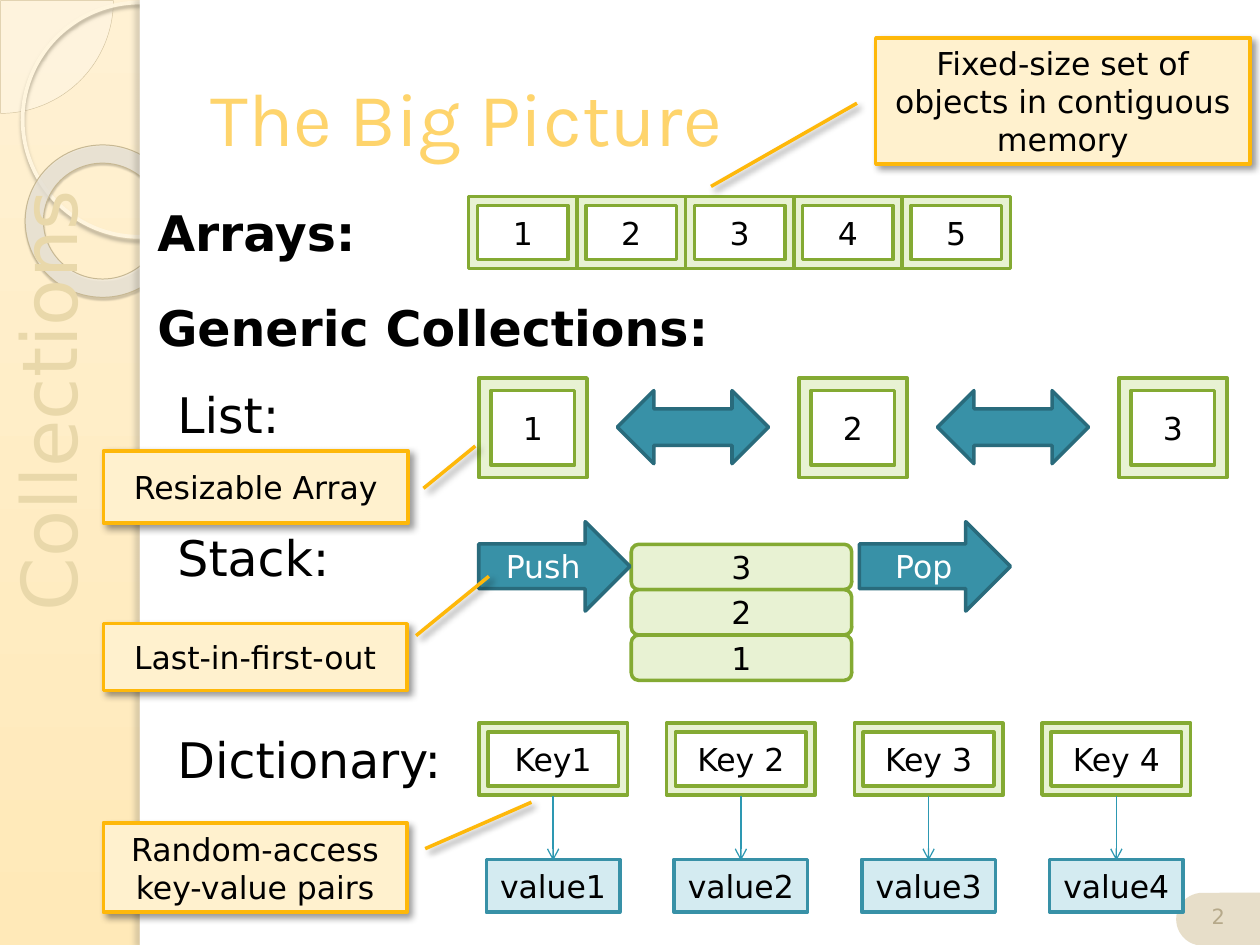
import pptx
import pptx.util
import pptx.dml.color
import pptx.enum.shapes
import pptx.enum.text
import pptx.oxml
import pptx.oxml.ns

SHAPE = pptx.enum.shapes.MSO_SHAPE
ALIGN = pptx.enum.text.PP_ALIGN
ANCHOR = pptx.enum.text.MSO_ANCHOR
NS = pptx.oxml.ns.nsdecls("a")
BODY = "DejaVu Sans"

GREEN = ("E8F2D3", "84AA33")
TEAL = ("3891A7", "296B7C")
PALE = ("D4EBF1", "3891A7")
GOLD = ("FFF1CE", "FEB80A")

headings = [("Arrays:", 1.15, 1.56, 3.17, True),
            ("Generic Collections:", 1.15, 2.31, 6.88, True),
            ("List:", 1.31, 3, 1.46, False),
            ("Stack:", 1.31, 4.14, 1.92, False),
            ("Dictionary:", 1.31, 5.74, 3, False)]
array_items = ["1", "2", "3", "4", "5"]
list_items = ["1", "2", "3"]
stack_items = ["3", "2", "1"]
stack_moves = [("Push", 3.8), ("Pop", 6.82)]
dictionary = [("Key1", "value1"), ("Key 2", "value2"), ("Key 3", "value3"), ("Key 4", "value4")]
callouts = [
    ("Fixed-size set of objects in contiguous memory", (6.95, 0.3, 2.97, 1), (0.52, -0.05, 1.18, -0.44)),
    ("Resizable Array", (0.82, 3.58, 2.42, 0.57), (0.52, 1.05, -0.07, 1.22)),
    ("Last-in-first-out", (0.82, 4.95, 2.41, 0.53), (0.18, 1.03, -0.71, 1.27)),
    ("Random-access key-value pairs", (0.82, 6.53, 2.41, 0.71), (0.29, 1.06, -0.23, 1.41))]

deck = pptx.Presentation()
deck.slide_width, deck.slide_height = pptx.util.Inches(10), pptx.util.Inches(7.5)
slide = deck.slides.add_slide(deck.slide_layouts[5])


def rgb(value):
    return pptx.dml.color.RGBColor.from_string(value)


def inches(*lengths):
    return [pptx.util.Inches(length) for length in lengths]


def write(frame, text, size, color, align=ALIGN.LEFT, anchor=ANCHOR.TOP, font=BODY, bold=False):
    frame.word_wrap = True
    frame.vertical_anchor = anchor
    paragraph = frame.paragraphs[0]
    paragraph.alignment = align
    run = paragraph.add_run()
    run.text = text
    run.font.size = pptx.util.Pt(size)
    run.font.name = font
    run.font.bold = bold
    run.font.color.rgb = rgb(color)
    return paragraph


def add_shape(kind, box, colors, text="", text_color="000000", width=2, alpha=100, adjust=()):
    shape = slide.shapes.add_shape(kind, *inches(*box))
    shape.shadow.inherit = False
    fill, line = colors
    if fill:
        shape.fill.solid()
        shape.fill.fore_color.rgb = rgb(fill)
        if alpha < 100:
            shape.fill._xPr.find(".//" + pptx.oxml.ns.qn("a:srgbClr")).append(
                pptx.oxml.parse_xml(f'<a:alpha {NS} val="{alpha * 1000}"/>'))
    else:
        shape.fill.background()
    if line:
        shape.line.color.rgb = rgb(line)
        shape.line.width = pptx.util.Pt(width)
    else:
        shape.line.fill.background()
    for index, value in enumerate(adjust):
        shape.adjustments[index] = value
    if text:
        write(shape.text_frame, text, 18, text_color, ALIGN.CENTER, ANCHOR.MIDDLE)
    return shape


def add_shadow(shape, color, alpha, blur, distance, angle):
    effects = shape._element.spPr.find(pptx.oxml.ns.qn("a:effectLst"))
    effects.append(pptx.oxml.parse_xml(
        f'<a:outerShdw {NS} blurRad="{int(blur * 12700)}" dist="{int(distance * 12700)}" '
        f'dir="{angle * 60000}" algn="tl" rotWithShape="0"><a:srgbClr val="{color}">'
        f'<a:alpha val="{alpha * 1000}"/></a:srgbClr></a:outerShdw>'))


def add_text(box, *args, **kwargs):
    label = slide.shapes.add_textbox(*inches(*box))
    return label.text_frame, write(label.text_frame, *args, **kwargs)


def add_arrow(x, top, bottom):
    arrow = slide.shapes.add_connector(pptx.enum.shapes.MSO_CONNECTOR.STRAIGHT, *inches(x, top, x, bottom))
    arrow.line.color.rgb = rgb("2D98B2")
    arrow.line.width = pptx.util.Pt(0.75)
    arrow.line._get_or_add_ln().append(pptx.oxml.parse_xml(f'<a:tailEnd {NS} type="arrow"/>'))
    arrow._element.spPr.append(pptx.oxml.parse_xml(f'<a:effectLst {NS}/>'))


backdrop = slide.background.fill
backdrop.gradient()
backdrop.gradient_angle = 270
for stop, color in zip(backdrop.gradient_stops, ("FFF1D3", "FFE9B8")):
    stop.color.rgb = rgb(color)

add_shape(SHAPE.PIE, (-0.89, -0.89, 1.79, 1.79), ("FEFAF4", "D3C39F"), width=0.25, alpha=33, adjust=(0, 54))
large_ring = add_shape(SHAPE.OVAL, (0.18, 0.02, 1.86, 1.86), (None, "FFF5DE"), width=2.15)
add_shadow(large_ring, "B0A68F", 85, 2, 2, 90)
small_ring = add_shape(SHAPE.DONUT, (0.2, 1.15, 1.23, 1.21), ("F0EBE0", "C7B893"),
                       width=0.58, alpha=75, adjust=(0.12,))
add_shadow(small_ring, "5A5444", 35, 1, 1.2, 75)
panel_edge = add_shape(SHAPE.RECTANGLE, (1.11, 0, 0.08, 7.5), ("FFFFFF", None))
add_shadow(panel_edge, "736F63", 25, 3, 3, 180)
add_shape(SHAPE.RECTANGLE, (1.11, 0, 8.89, 7.5), ("FFFFFF", None))

section, section_line = add_text((0.2, 0, 0.76, 4.95), "Collections", 44, "E9D8AA")
section_line.line_spacing = pptx.util.Pt(35)
section.margin_left = section.margin_right = section.margin_top = section.margin_bottom = pptx.util.Inches(0.05)
section._txBody.bodyPr.set("vert", "vert270")

number_tab = add_shape(SHAPE.ROUND_2_SAME_RECTANGLE, (9.46, 6.96, 0.42, 0.67), ("E7DEC9", None), adjust=(0.5, 0))
number_tab.rotation = 270
add_text((9.42, 6.9, 0.5, 0.52), "2", 12, "B6A98A", ALIGN.CENTER, ANCHOR.BOTTOM)

title = slide.shapes.title
title.left, title.top, title.width, title.height = inches(1.57, 0.3, 8.2, 1.25)
write(title.text_frame, "The Big Picture", 43, "FED46C", anchor=ANCHOR.MIDDLE, font="Karla")
slide.shapes._spTree.append(title._element)

for text, left, top, width, bold in headings:
    add_text((left, top, width, 0.57), text, 28, "000000", bold=bold)

for column, item in enumerate(array_items):
    add_shape(SHAPE.FRAME, (3.72 + 0.86 * column, 1.56, 0.86, 0.57), GREEN, item)

for column, item in enumerate(list_items):
    left = 3.8 + 2.54 * column
    add_shape(SHAPE.FRAME, (left, 3, 0.86, 0.79), GREEN, item)
    if column < len(list_items) - 1:
        add_shape(SHAPE.LEFT_RIGHT_ARROW, (left + 1.1, 3.1, 1.2, 0.58), TEAL)

for row, item in enumerate(stack_items):
    add_shape(SHAPE.ROUNDED_RECTANGLE, (5.01, 4.32 + 0.36 * row, 1.75, 0.36), GREEN, item)
for move, left in stack_moves:
    add_shape(SHAPE.RIGHT_ARROW, (left, 4.14, 1.2, 0.71), TEAL, move, "FFFFFF")

for column, (key, value) in enumerate(dictionary):
    left = 3.8 + 1.49 * column
    add_shape(SHAPE.FRAME, (left, 5.74, 1.18, 0.57), GREEN, key)
    add_shape(SHAPE.RECTANGLE, (left + 0.06, 6.82, 1.06, 0.42), PALE, value)
    add_arrow(left + 0.59, 6.32, 6.83)

for text, box, pointer in callouts:
    callout = add_shape(SHAPE.LINE_CALLOUT_1, box, GOLD, text, adjust=pointer)
    add_shadow(callout, "000000", 40, 4, 3, 45)

deck.save("out.pptx")
